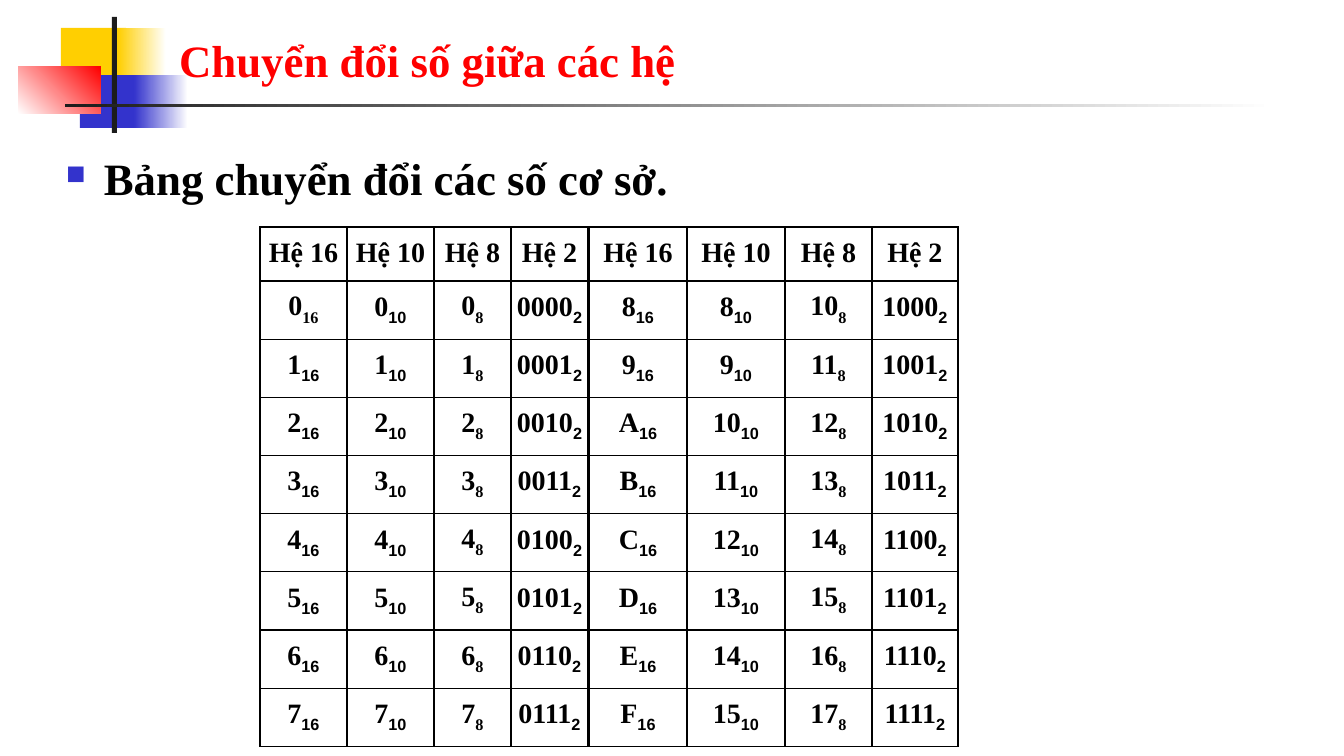
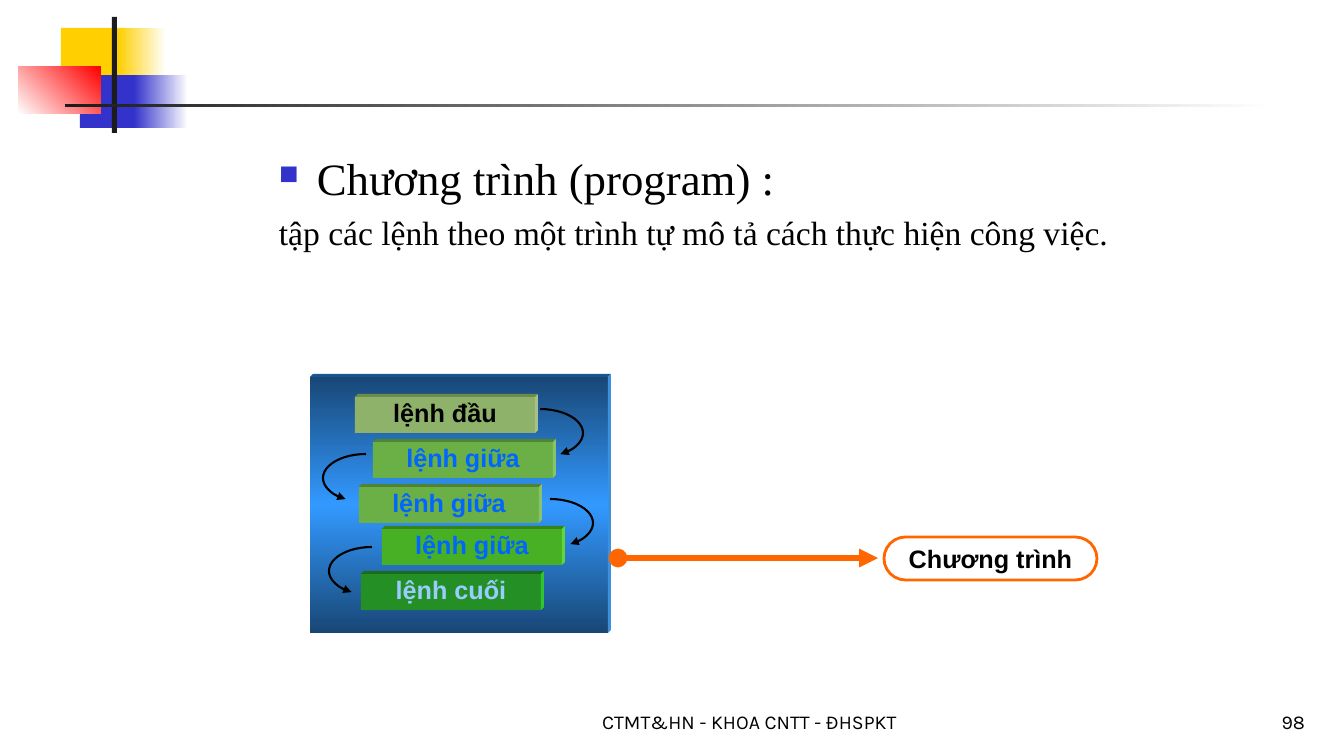
from copy import deepcopy

from lxml.etree import SubElement
from pptx import Presentation
from pptx.dml.color import RGBColor as RGB
from pptx.enum.shapes import MSO_CONNECTOR as LINK, MSO_SHAPE as KIND
from pptx.enum.text import MSO_ANCHOR as ANCHOR, PP_ALIGN as ALIGN
from pptx.oxml.ns import qn
from pptx.util import Pt

PX = 9071  # EMU in one px


class Theme:
    serif, sans, foot = "Times New Roman", "Arial", "Karla"
    head, body, cell, label, note = 32, 24, 20, 18, 14
    black, white, red = "000000", "FFFFFF", "FF0000"
    gold, blue, ink, orange = "FFCF01", "3333CC", "1C1C1C", "FF6600"
    navy, sky, edge = "184776", "3399FF", "2173C0"
    link, pale = "0066FF", "99CCFF"
    sage, leaf, grass, moss = "8FB26B", "6BB047", "47B024", "248F24"


def write(frame, text, size=Theme.label, color=Theme.black, font=Theme.serif,
          bold=False, align=ALIGN.LEFT, bullet=False, before=0, sub=None, small=None):
    """Add a paragraph, with an optional bullet and subscript."""
    para = frame.paragraphs[0]
    if para.runs:
        para = frame.add_paragraph()
    para.alignment = align
    if bullet:
        props = para._p.get_or_add_pPr()
        props.set("marL", str(38 * PX))
        props.set("indent", str(-38 * PX))
        tint = SubElement(props, qn("a:buClr"))
        SubElement(tint, qn("a:srgbClr"), val=Theme.blue)
        SubElement(props, qn("a:buSzPct"), val="60000")
        SubElement(props, qn("a:buChar"), char="■")
    if before:
        para.space_before = Pt(before)
    for part, face in ((text, font), (sub, small or font)):
        if part is None:
            continue
        run = para.add_run()
        run.text = part
        run.font.size, run.font.name, run.font.bold = Pt(size), face, bold
        run.font.color.rgb = RGB.from_string(color)
        if part is sub:
            run._r.get_or_add_rPr().set("baseline", "-25000")


def block(slide, at, fill=None, line=None, width=1, kind=KIND.RECTANGLE, angle=0):
    """Add a preset shape; a list of colours makes an even gradient."""
    shape = slide.shapes.add_shape(kind, *[n * PX for n in at])
    shape.shadow.inherit = False
    if isinstance(fill, list):
        shape.fill.gradient()
        shape.fill.gradient_angle = angle
        stops = shape.element.xpath(".//a:gsLst")[0]
        for _ in fill[2:]:
            stops.append(deepcopy(stops[0]))
        for i, stop in enumerate(shape.fill.gradient_stops):
            stop.position = i / (len(fill) - 1)
            stop.color.rgb = RGB.from_string(fill[i])
    elif fill:
        shape.fill.solid()
        shape.fill.fore_color.rgb = RGB.from_string(fill)
    else:
        shape.fill.background()
    if line:
        shape.line.color.rgb = RGB.from_string(line)
        shape.line.width = Pt(width)
    else:
        shape.line.fill.background()
    frame = shape.text_frame
    frame.margin_left = frame.margin_right = frame.margin_top = frame.margin_bottom = 0
    frame.vertical_anchor = ANCHOR.TOP
    return shape


deck = Presentation()
deck.slide_width, deck.slide_height = 1344 * PX, 756 * PX
first = deck.slides.add_slide(deck.slide_layouts[5])
second = deck.slides.add_slide(deck.slide_layouts[6])

# Shared motif, kept on the master
motif = [
    ((61, 28, 65, 52), Theme.gold, 0),
    ((118, 28, 48, 52), [Theme.gold, Theme.white], 0),
    ((80, 75, 62, 53), Theme.blue, 0),
    ((134, 75, 54, 53), [Theme.blue, Theme.white], 0),
    ((18, 67, 83, 47), [Theme.white, Theme.red], 45),
    ((112, 17, 5, 116), Theme.ink, 0),
    ((65, 104, 1210, 3), [Theme.ink, Theme.white], 0),
]
tree = deck.slide_master.shapes.element
for i, (at, fill, angle) in enumerate(motif):
    part = block(first, at, fill, angle=angle).element
    part.xpath(".//p:cNvPr")[0].set("id", str(100 + i))
    tree.append(part)

# Slide 1: title
title = first.shapes.title
title.left, title.top, title.width, title.height = [n * PX for n in (169, 23, 1145, 69)]
title.text_frame.vertical_anchor = ANCHOR.BOTTOM
write(title.text_frame, "Chuyển đổi số giữa các hệ", size=Theme.head,
      color=Theme.red, bold=True)

# Text boxes of both slides
head = dict(size=Theme.head, bullet=True)
foot = dict(size=Theme.note, font=Theme.foot)
boxes = [
    (first, (56, 146, 1260, 60), ANCHOR.TOP,
     [("Bảng chuyển đổi các số cơ sở.", dict(head, bold=True))]),
    (second, (269, 146, 872, 113), ANCHOR.TOP,
     [("Chương trình (program) :", dict(head, align=ALIGN.JUSTIFY)),
      ("tập các lệnh theo một trình tự mô tả cách thực hiện công việc.",
       dict(size=Theme.body, align=ALIGN.JUSTIFY, before=4.8))]),
    (second, (537, 688, 425, 50), ANCHOR.BOTTOM,
     [("CTMT&HN - KHOA CNTT - ĐHSPKT", dict(foot, align=ALIGN.CENTER))]),
    (second, (1035, 688, 280, 50), ANCHOR.BOTTOM,
     [("98", dict(foot, align=ALIGN.RIGHT))]),
]
for slide, at, anchor, lines in boxes:
    frame = slide.shapes.add_textbox(*[n * PX for n in at]).text_frame
    frame.word_wrap = True
    frame.vertical_anchor = anchor
    for text, form in lines:
        write(frame, text, **form)

# Slide 1: two number tables, 0 to 7 and 8 to 15
bases = {16: "X", 10: "d", 8: "o", 2: "04b"}
for left, start, widths in ((260, 0, (87, 87, 77, 77)), (589, 8, (98, 98, 87, 86))):
    grid = first.shapes.add_table(9, 4, left * PX, 227 * PX, sum(widths) * PX, 502 * PX).table
    grid.first_row = grid.horz_banding = False
    for col, width in zip(grid.columns, widths):
        col.width = width * PX
    for r, row in enumerate(grid.rows):
        row.height = (56 if r else 54) * PX
        for cell, (base, code) in zip(row.cells, bases.items()):
            cell.margin_left = cell.margin_right = 0
            cell.margin_top = cell.margin_bottom = 10 * PX
            props = cell._tc.get_or_add_tcPr()
            for side in "LRTB":
                rule = SubElement(props, qn("a:ln" + side), w=str(Pt(1)))
                paint = SubElement(rule, qn("a:solidFill"))
                SubElement(paint, qn("a:srgbClr"), val=Theme.black)
            cell.fill.background()
            form = dict(size=Theme.cell, bold=True, align=ALIGN.CENTER)
            if r == 0:
                write(cell.text_frame, f"Hệ {base}", **form)
                continue
            num = start + r - 1
            plain = base == 8 or (base == 16 and num == 0)
            write(cell.text_frame, format(num, code), sub=str(base),
                  small=Theme.serif if plain else Theme.sans, **form)

# Slide 2: raised panel and its command blocks
panel = [Theme.navy, Theme.sky, Theme.navy]
raised = [
    ((310, 377, 298, 256), panel, Theme.edge, "", Theme.black),
    ((355, 397, 180, 36), Theme.sage, Theme.sage, "lệnh đầu", Theme.black),
    ((373, 442, 180, 36), Theme.leaf, Theme.leaf, "lệnh giữa", Theme.link),
    ((359, 487, 180, 36), Theme.leaf, Theme.leaf, "lệnh giữa", Theme.link),
    ((382, 529, 180, 36), Theme.grass, Theme.grass, "lệnh giữa", Theme.link),
    ((361, 574, 180, 36), Theme.moss, Theme.moss, "lệnh cuối", Theme.pale),
]
for (x, y, w, h), fill, side, text, color in raised:
    face = block(second, (x, y, w, h), fill, angle=90)
    if text:
        write(face.text_frame, text, color=color, font=Theme.sans, bold=True,
              align=ALIGN.CENTER)
    far, low, deep = x + w, y + h, 3
    top = [(x, y), (x + deep, y - deep), (far + deep, y - deep), (far, y)]
    right = [(far, y), (far + deep, y - deep), (far + deep, low - deep), (far, low)]
    for points, shade in ((top, -0.25), (right, 0.2)):
        pen = second.shapes.build_freeform(*points[0], scale=PX)
        pen.add_line_segments(points[1:], close=True)
        bevel = pen.convert_to_shape()
        bevel.shadow.inherit = False
        bevel.fill.solid()
        bevel.fill.fore_color.rgb = RGB.from_string(side)
        bevel.fill.fore_color.brightness = shade
        bevel.line.fill.background()

# Slide 2: curved arrows between blocks, each a part of an ellipse
for x, y, sweep, end in (
    (540, 433, (270, 46), "a:tailEnd"),
    (366, 478, (134, 270), "a:headEnd"),
    (550, 523, (270, 46), "a:tailEnd"),
    (372, 571, (134, 270), "a:headEnd"),
):
    arc = block(second, (x - 43, y - 24, 86, 48), line=Theme.black, width=1.5, kind=KIND.ARC)
    for i, turn in enumerate(sweep):
        arc.adjustments[i] = turn * 0.6
    SubElement(arc.line._get_or_add_ln(), qn(end), type="triangle")

# Slide 2: label and the arrow to it
pill = block(second, (884, 537, 213, 43), line=Theme.orange, width=2,
             kind=KIND.ROUNDED_RECTANGLE)
pill.adjustments[0] = 0.5
pill.text_frame.vertical_anchor = ANCHOR.MIDDLE
write(pill.text_frame, "Chương trình", font=Theme.sans, bold=True, align=ALIGN.CENTER)

arrow = second.shapes.add_connector(LINK.STRAIGHT, *[n * PX for n in (618, 558, 878, 558)])
arrow.line.color.rgb = RGB.from_string(Theme.orange)
arrow.line.width = Pt(4.5)
for end, tip in (("a:headEnd", "oval"), ("a:tailEnd", "triangle")):
    SubElement(arrow.line._get_or_add_ln(), qn(end), type=tip)
SubElement(arrow.element.spPr, qn("a:effectLst"))

deck.save("out.pptx")
